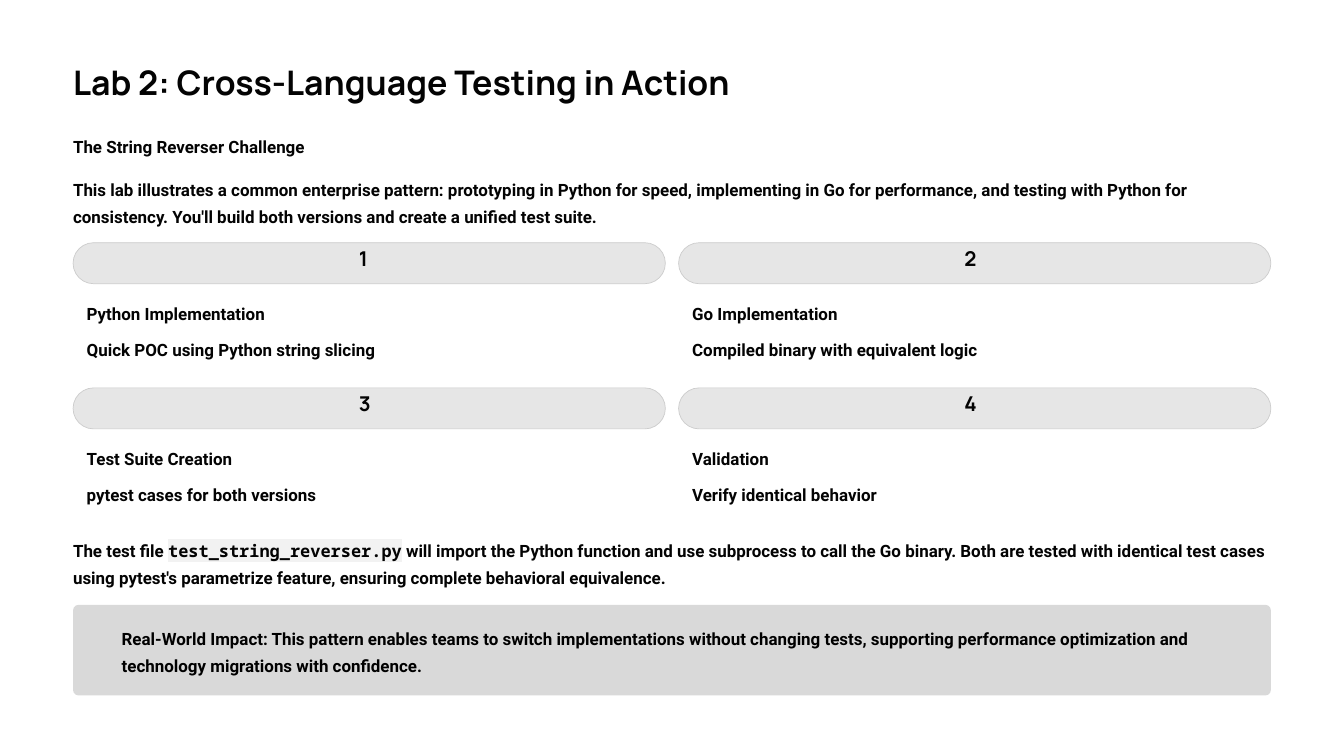
import pptx
import pptx.util
import pptx.oxml.ns
import pptx.dml.color
import pptx.enum.text
import pptx.enum.shapes
import lxml.etree

Cm = pptx.util.Cm
Pt = pptx.util.Pt
HUES = {"ink": "030303", "black": "000000", "pill": "E6E6E6", "edge": "CCCCCC",
        "note": "D9D9D9", "code": "F2F2F2", "page": "FFFFFF"}
TYPES = {
    "title": {"name": "Manrope", "size": Pt(29), "bold": True},
    "digit": {"name": "Manrope", "size": Pt(17.5), "bold": True},
    "text": {"name": "Roboto", "size": Pt(14.5), "bold": True},
    "code": {"name": "Noto Sans Mono", "size": Pt(14.5), "bold": True},
}
LEADS = {"title": Pt(36.5), "digit": Pt(17.5), "text": Pt(23)}
FRAME = {"margin_left": 0, "margin_right": 0, "margin_top": 0, "margin_bottom": 0,
         "word_wrap": True, "auto_size": pptx.enum.text.MSO_AUTO_SIZE.NONE,
         "vertical_anchor": pptx.enum.text.MSO_ANCHOR.TOP}
LEFT, WIDE = 2.21, 36.22
STEPS = [
    ("Python Implementation", "Quick POC using Python string slicing"),
    ("Go Implementation", "Compiled binary with equivalent logic"),
    ("Test Suite Creation", "pytest cases for both versions"),
    ("Validation", "Verify identical behavior"),
]


def apply(item, values):
    for key, value in values.items():
        setattr(item, key, value)


def color(hue):
    return pptx.dml.color.RGBColor.from_string(HUES[hue])


class Deck:
    def __init__(self):
        self.file = pptx.Presentation()
        apply(self.file, {"slide_width": Cm(40.64), "slide_height": Cm(22.86)})
        self.slide = self.file.slides.add_slide(self.file.slide_layouts[5])
        fill = self.slide.background.fill
        fill.solid()
        fill.fore_color.rgb = color("page")

    def label(self, shape, runs, style, hue):
        apply(shape.text_frame, FRAME)
        para = shape.text_frame.paragraphs[0]
        apply(para, {"alignment": pptx.enum.text.PP_ALIGN.LEFT,
                     "line_spacing": LEADS[style]})
        for words, kind in runs:
            run = para.add_run()
            run.text = words
            apply(run.font, TYPES[kind])
            run.font.color.rgb = color(hue)
            if kind == "code":
                self.mark(run)

    def mark(self, run):
        qn = pptx.oxml.ns.qn
        glow = lxml.etree.Element(qn("a:highlight"))
        lxml.etree.SubElement(glow, qn("a:srgbClr"), val=HUES["code"])
        run.font._element.find(qn("a:latin")).addprevious(glow)

    def title(self, words, x, y, w, h):
        shape = self.slide.shapes.title
        apply(shape, {"left": Cm(x), "top": Cm(y), "width": Cm(w), "height": Cm(h)})
        self.label(shape, [(words, "title")], "title", "ink")

    def text(self, runs, x, y, w, h, style="text", hue="ink"):
        if isinstance(runs, str):
            runs = [(runs, style)]
        box = self.slide.shapes.add_textbox(Cm(x), Cm(y), Cm(w), Cm(h))
        self.label(box, runs, style, hue)

    def panel(self, x, y, w, h, round, hue, edge=None):
        kind = pptx.enum.shapes.MSO_SHAPE.ROUNDED_RECTANGLE
        shape = self.slide.shapes.add_shape(kind, Cm(x), Cm(y), Cm(w), Cm(h))
        shape.adjustments[0] = round
        shape.shadow.inherit = False
        shape.fill.solid()
        shape.fill.fore_color.rgb = color(hue)
        if edge:
            shape.line.color.rgb = color(edge)
            shape.line.width = Pt(0.6)
        else:
            shape.line.fill.background()

    def step(self, digit, lines, x, y):
        self.panel(x, y, 17.91, 1.24, 0.5, "pill", "edge")
        self.text(str(digit), x + 8.64, y + 0.23, 0.61, 0.79, "digit")
        for row, line in enumerate(lines):
            self.text(line, x + 0.41, y + 1.65 + row * 1.07, 17.07, 0.84)


def main():
    deck = Deck()
    deck.title("Lab 2: Cross-Language Testing in Action", LEFT, 1.8, 20.1, 1.3)
    deck.text("The String Reverser Challenge", LEFT, 3.94, WIDE, 0.84)
    deck.text("This lab illustrates a common enterprise pattern: prototyping in Python "
              "for speed, implementing in Go for performance, and testing with Python "
              "for consistency. You'll build both versions and create a unified test "
              "suite.", LEFT, 5.23, WIDE, 1.65)
    for spot, lines in enumerate(STEPS):
        row, col = divmod(spot, 2)
        deck.step(spot + 1, lines, LEFT + col * 18.31, 7.34 + row * 4.39)
    deck.text([("The test file ", "text"), ("test_string_reverser.py", "code"),
               (" will import the Python function and use subprocess to call the Go "
                "binary. Both are tested with identical test cases using pytest's "
                "parametrize feature, ensuring complete behavioral equivalence.", "text")],
              LEFT, 16.15, WIDE, 1.68)
    deck.panel(LEFT, 18.29, WIDE, 2.74, 0.06, "note")
    deck.text("Real-World Impact: This pattern enables teams to switch implementations "
              "without changing tests, supporting performance optimization and "
              "technology migrations with confidence.",
              3.68, 18.82, 34.34, 1.65, hue="black")
    deck.file.save("out.pptx")


if __name__ == "__main__":
    main()
